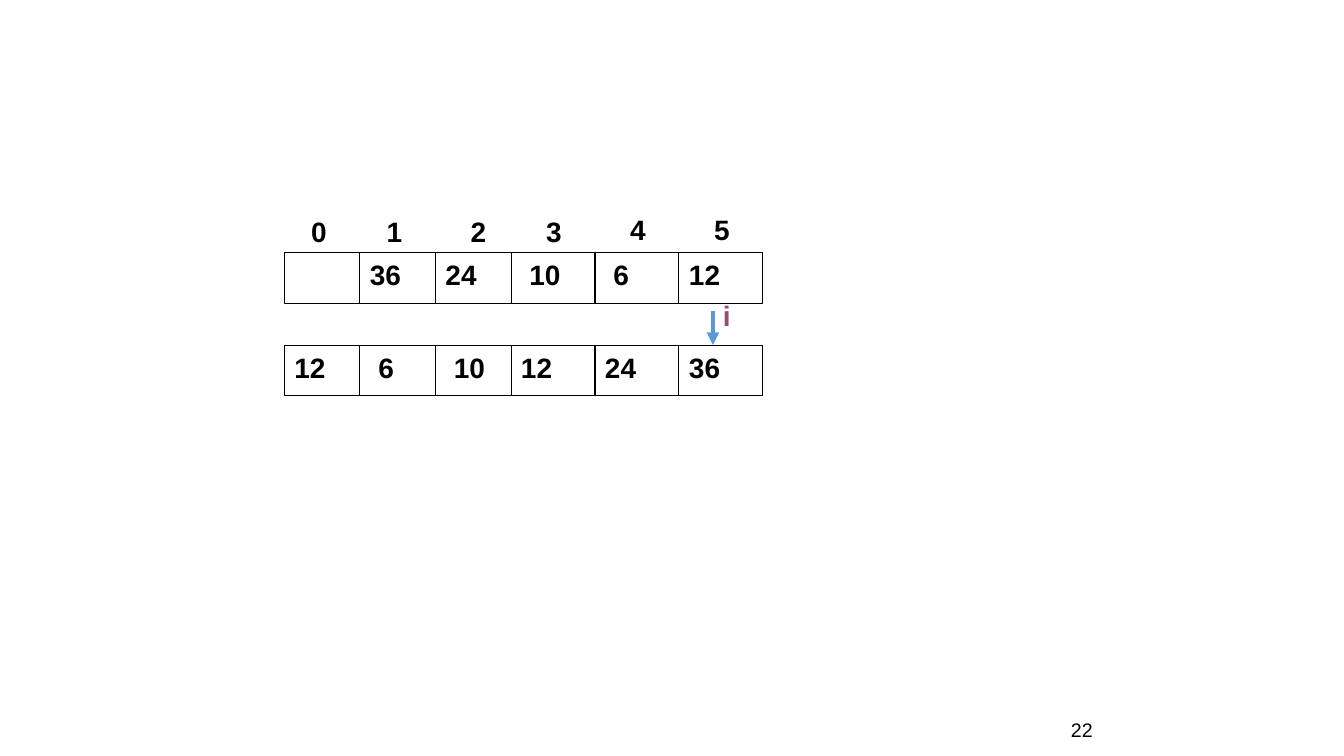
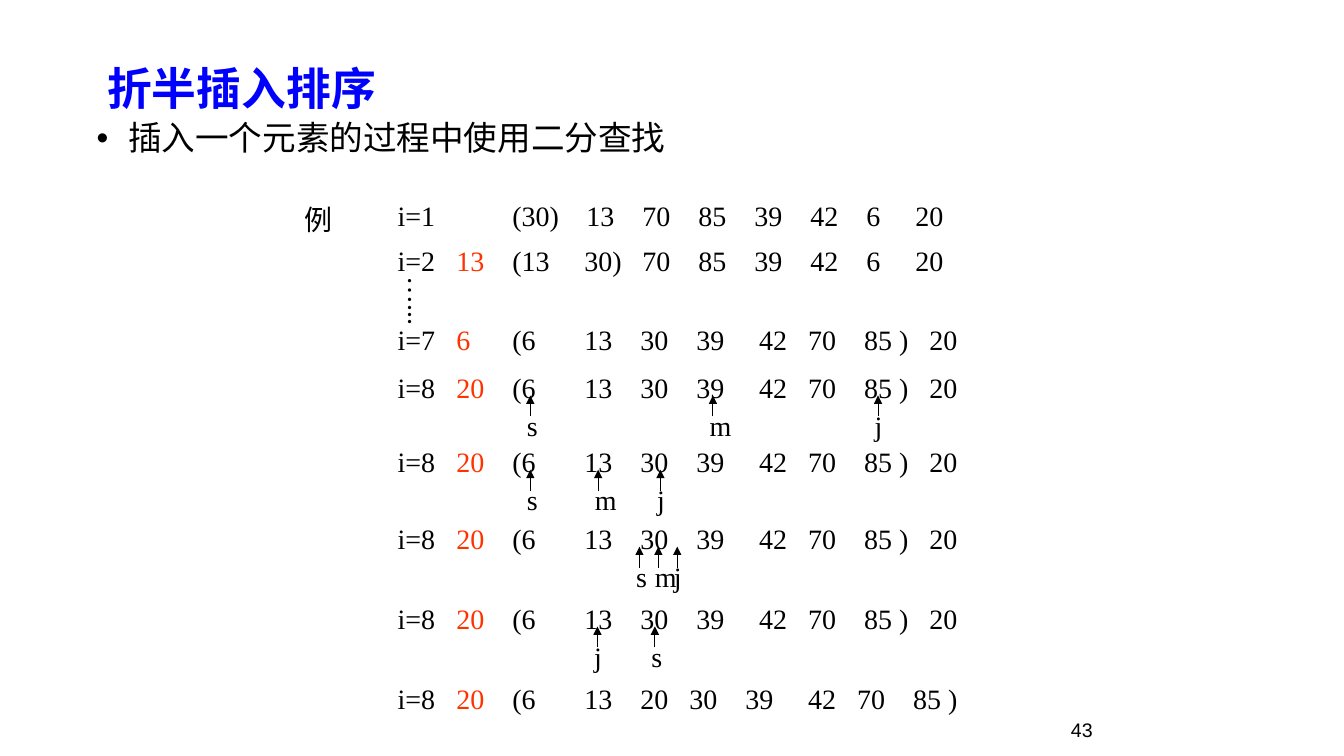
from dataclasses import dataclass
from itertools import accumulate

from lxml.etree import SubElement
from pptx import Presentation
from pptx.dml.color import RGBColor
from pptx.enum.shapes import MSO_CONNECTOR, MSO_SHAPE
from pptx.enum.text import MSO_ANCHOR, PP_ALIGN
from pptx.oxml.ns import qn
from pptx.util import Pt

# Content: heap sort array
INDEXES = ["0", "1", "2", "3", "4", "5"]
HEAP = ["", "36", "24", "10", "6", "12"]
SORTED = ["12", "6", "10", "12", "24", "36"]

# Content: binary insertion sort
TITLE = "折半插入排序"
SUBTITLE = "插入一个元素的过程中使用二分查找"
SEARCHED = ["(6", "13", "30", "39", "42", "70", "85 )", "20"]

# Tab stops of the values in a trace row; each row starts with "i=" and a key
KEY_STOP = 42
UNSORTED_STOPS = [175, 215, 255, 295, 335, 370]
FIRST_STOPS = [82, 135, *UNSORTED_STOPS]
SECOND_STOPS = [82, 133.5, *UNSORTED_STOPS]
SEARCH_STOPS = [82, 133.5, 173.5, 213.5, 258.5, 293.5, 333.5, 380]
FINAL_STOPS = [82, 133.5, 173.5, 208.5, 248.5, 293.5, 328.5, 368.5]

# top, step, key, values, stops, search pointers (letter, x)
TRACE = [
    (138, "i=1", "", ["(30)", "13", "70", "85", "39", "42", "6", "20"], FIRST_STOPS, []),
    (170.5, "i=2", "13", ["(13", "30)", "70", "85", "39", "42", "6", "20"], SECOND_STOPS, []),
    (227, "i=7", "6", SEARCHED, SEARCH_STOPS, []),
    (261, "i=8", "20", SEARCHED, SEARCH_STOPS, [("s", 379), ("m", 509.5), ("j", 627.5)]),
    (314, "i=8", "20", SEARCHED, SEARCH_STOPS, [("s", 379), ("m", 427.5), ("j", 472)]),
    (369, "i=8", "20", SEARCHED, SEARCH_STOPS, [("s", 457), ("m", 470.5), ("j", 484)]),
    (426, "i=8", "20", SEARCHED, SEARCH_STOPS, [("j", 427), ("s", 468)]),
    (483, "i=8", "20", ["(6", "13", "20", "30", "39", "42", "70", "85 )"], FINAL_STOPS, []),
]


@dataclass(frozen=True)
class Theme:
    black: str = "000000"
    white: str = "FFFFFF"
    title: str = "0000FF"
    key: str = "FF3300"
    arrow: str = "5B9BD5"
    pointer: str = "954F72"
    sans: str = "Arial"
    serif: str = "Times New Roman"
    body: str = "Calibri"
    chinese: str = "Noto Sans CJK SC"
    title_size: int = 32
    subtitle_size: int = 24
    text_size: int = 20
    number_size: int = 14


THEME = Theme()
CELL_STYLE = {"name": THEME.sans, "size": THEME.text_size, "bold": True}
TRACE_STYLE = {"name": THEME.serif, "size": THEME.text_size}
NUMBER_STYLE = {"name": THEME.sans, "size": THEME.number_size}

CELL_WIDTHS = [54, 54, 54, 60, 60, 60]
CELL_EDGES = list(accumulate(CELL_WIDTHS, initial=203.25))
CELL_HEIGHT = 36
LINE_HEIGHT = 32
NUDGED = {"10", "6"}


def add_run(paragraph, text, style, color=THEME.black):
    run = paragraph.add_run()
    run.text = text
    for attribute, value in style.items():
        setattr(run.font, attribute, Pt(value) if attribute == "size" else value)
    run.font.color.rgb = RGBColor.from_string(color)
    SubElement(run.font._element, qn("a:ea"), typeface=THEME.chinese)


def add_frame(slide, left, top, width, height=LINE_HEIGHT, **formats):
    """Add a text box and return its text frame."""
    frame = slide.shapes.add_textbox(Pt(left), Pt(top), Pt(width), Pt(height)).text_frame
    for attribute, value in ({"word_wrap": True} | formats).items():
        setattr(frame, attribute, value)
    return frame


def add_label(slide, text, left, top, width, style, color=THEME.black):
    add_run(add_frame(slide, left, top, width).paragraphs[0], text, style, color)


def add_line(slide, start, end, color=THEME.black, weight=0.75, arrow=False):
    line = slide.shapes.add_connector(MSO_CONNECTOR.STRAIGHT, *map(Pt, start + end))
    line.line.color.rgb = RGBColor.from_string(color)
    line.line.width = Pt(weight)
    if arrow:
        SubElement(line.line._get_or_add_ln(), qn("a:tailEnd"), type="triangle")
    SubElement(line._element.spPr, qn("a:effectLst"))


def add_slide(deck, number):
    slide = deck.slides.add_slide(deck.slide_layouts[6])
    frame = add_frame(slide, 638, 497, 150, 36, vertical_anchor=MSO_ANCHOR.BOTTOM)
    frame.paragraphs[0].alignment = PP_ALIGN.RIGHT
    add_run(frame.paragraphs[0], number, NUMBER_STYLE)
    return slide


def add_array(slide, values, top):
    left, *dividers, right = CELL_EDGES
    frame = slide.shapes.add_shape(
        MSO_SHAPE.RECTANGLE, Pt(left), Pt(top), Pt(right - left), Pt(CELL_HEIGHT))
    frame.shadow.inherit = False
    frame.fill.solid()
    frame.fill.fore_color.rgb = RGBColor.from_string(THEME.white)
    frame.line.color.rgb = RGBColor.from_string(THEME.black)
    frame.line.width = Pt(0.75)
    for x in dividers:
        add_line(slide, (x, top), (x, top + CELL_HEIGHT))
    for x, value in zip(CELL_EDGES, values):
        if value:
            add_label(slide, value, x + 6 * (value in NUDGED), top, 48, CELL_STYLE)


def add_trace_row(slide, top, step, key, values, stops, pointers):
    paragraph = add_frame(slide, 277, top, 430).paragraphs[0]
    tabs = SubElement(paragraph._p.get_or_add_pPr(), qn("a:tabLst"))
    for stop in [KEY_STOP, *stops]:
        SubElement(tabs, qn("a:tab"), pos=str(Pt(stop)), algn="l")
    add_run(paragraph, step + "\t", TRACE_STYLE)
    if key:
        add_run(paragraph, key, TRACE_STYLE, THEME.key)
    add_run(paragraph, "\t" + "\t".join(values), TRACE_STYLE)
    for letter, x in pointers:
        add_line(slide, (x, top + 36.5), (x, top + 21.5), arrow=True)
        add_label(slide, letter, x - 9.5, top + 27, 30, TRACE_STYLE)


def add_heading(slide):
    frame = add_frame(slide, 54.5, 44, 584, 80)
    title, subtitle = frame.paragraphs[0], frame.add_paragraph()
    for paragraph, margin, indent in [(title, 15, 0), (subtitle, 30, -22.5)]:
        properties = paragraph._p.get_or_add_pPr()
        properties.set("marL", str(Pt(margin)))
        properties.set("indent", str(Pt(indent)))
        paragraph.line_spacing = 0.9
    subtitle.space_before = Pt(5)
    SubElement(subtitle._p.pPr, qn("a:buFont"), typeface=THEME.sans)
    SubElement(subtitle._p.pPr, qn("a:buChar"), char="•")
    add_run(title, TITLE,
            {"name": THEME.chinese, "size": THEME.title_size, "bold": True}, THEME.title)
    add_run(subtitle, SUBTITLE, {"name": THEME.body, "size": THEME.subtitle_size})


def build_heap_slide(deck):
    slide = add_slide(deck, "22")
    add_array(slide, HEAP, 180.5)
    add_array(slide, SORTED, 246.5)
    for position, (x, index) in enumerate(zip(CELL_EDGES, INDEXES)):
        add_label(slide, index, x + (12 if position < 2 else 18),
                  149.5 if position < 4 else 148, 24, CELL_STYLE)
    add_line(slide, (509.5, 222.5), (509.5, 246.5), THEME.arrow, 3, arrow=True)
    add_label(slide, "i", 509.5, 209.5, 24, CELL_STYLE, THEME.pointer)


def build_insertion_slide(deck):
    slide = add_slide(deck, "43")
    add_heading(slide)
    add_label(slide, "例", 210.5, 141, 36, TRACE_STYLE)
    for row in TRACE:
        add_trace_row(slide, *row)
    dots = add_frame(slide, 277.5, 190.5, 38, 42.5, word_wrap=False,
                     margin_left=Pt(3.6), margin_right=Pt(3.6),
                     margin_top=Pt(7.2), margin_bottom=Pt(7.2))
    dots._txBody.bodyPr.set("vert", "eaVert")
    add_run(dots.paragraphs[0], "…...", TRACE_STYLE)


def main():
    deck = Presentation()
    deck.slide_width, deck.slide_height = Pt(960.5), Pt(540)
    build_heap_slide(deck)
    build_insertion_slide(deck)
    deck.save("out.pptx")


if __name__ == "__main__":
    main()
